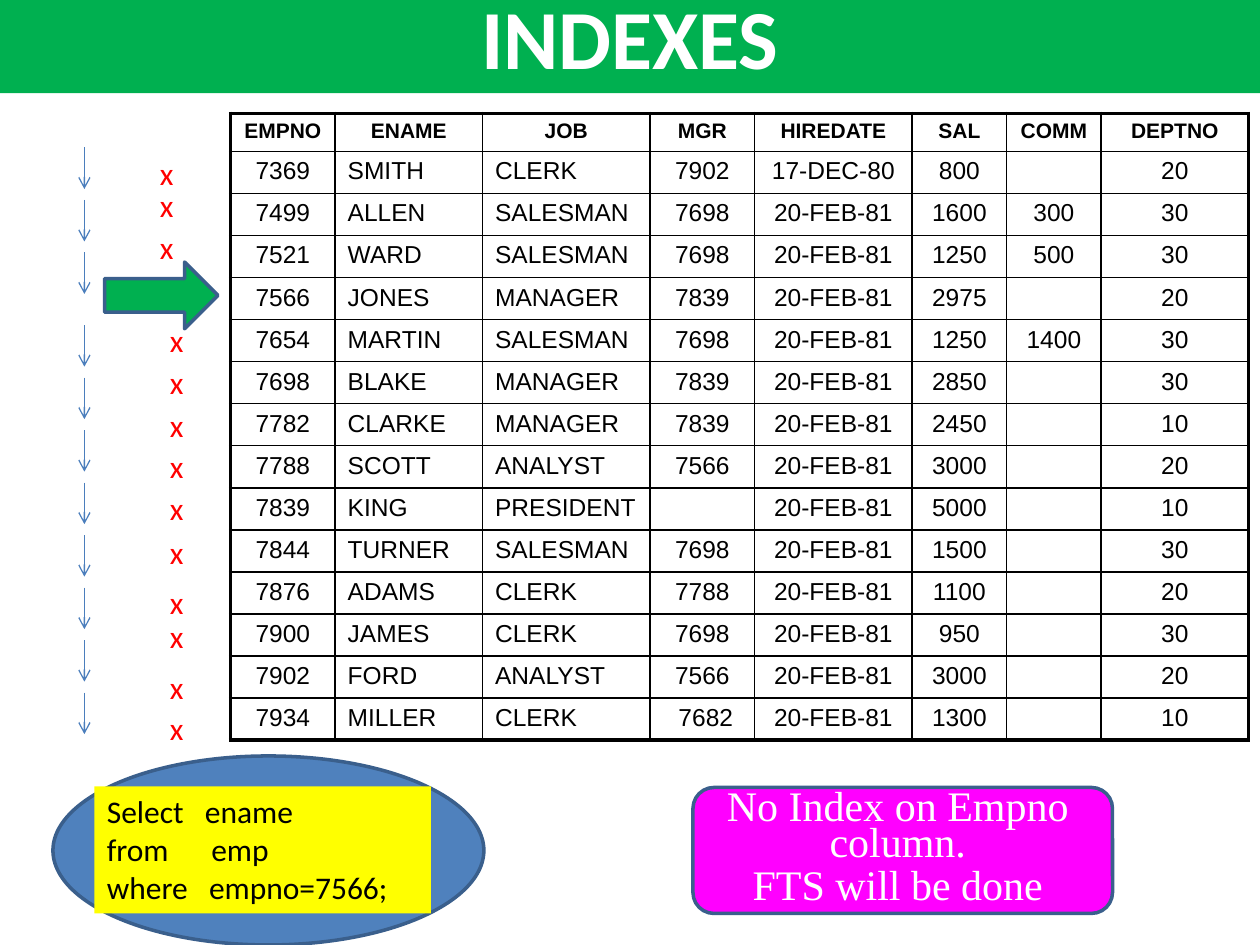
from lxml.etree import SubElement
from pptx import Presentation
from pptx.dml.color import RGBColor
from pptx.enum.shapes import MSO_CONNECTOR, MSO_SHAPE
from pptx.enum.text import MSO_ANCHOR, MSO_AUTO_SIZE, PP_ALIGN
from pptx.oxml.ns import qn
from pptx.util import Inches, Pt

GREEN, BLUE, OUTLINE, ARROW = "00B050", "4F81BD", "3A5F8C", "4B7EBC"
YELLOW, MAGENTA, RED, BLACK, WHITE = "FFFF00", "FF00FF", "FF0000", "000000", "FFFFFF"

COLUMN_WIDTHS = [0.83, 1.17, 1.33, 0.83, 1.25, 0.75, 0.75, 1.17]
HEADER_HEIGHT = 0.3
TABLE_HEIGHT = 4.97
LEFT_COLUMNS = (1, 2)
EMPLOYEES = [
    ["EMPNO", "ENAME", "JOB", "MGR", "HIREDATE", "SAL", "COMM", "DEPTNO"],
    ["7369", "SMITH", "CLERK", "7902", "17-DEC-80", "800", "", "20"],
    ["7499", "ALLEN", "SALESMAN", "7698", "20-FEB-81", "1600", "300", "30"],
    ["7521", "WARD", "SALESMAN", "7698", "20-FEB-81", "1250", "500", "30"],
    ["7566", "JONES", "MANAGER", "7839", "20-FEB-81", "2975", "", "20"],
    ["7654", "MARTIN", "SALESMAN", "7698", "20-FEB-81", "1250", "1400", "30"],
    ["7698", "BLAKE", "MANAGER", "7839", "20-FEB-81", "2850", "", "30"],
    ["7782", "CLARKE", "MANAGER", "7839", "20-FEB-81", "2450", "", "10"],
    ["7788", "SCOTT", "ANALYST", "7566", "20-FEB-81", "3000", "", "20"],
    ["7839", "KING", "PRESIDENT", "", "20-FEB-81", "5000", "", "10"],
    ["7844", "TURNER", "SALESMAN", "7698", "20-FEB-81", "1500", "", "30"],
    ["7876", "ADAMS", "CLERK", "7788", "20-FEB-81", "1100", "", "20"],
    ["7900", "JAMES", "CLERK", "7698", "20-FEB-81", "950", "", "30"],
    ["7902", "FORD", "ANALYST", "7566", "20-FEB-81", "3000", "", "20"],
    ["7934", "MILLER", "CLERK", " 7682", "20-FEB-81", "1300", "", "10"],
]
QUERY = ["Select   ename", "from      emp", "where   empno=7566;"]
SCAN_STEP = 5 / 12
SCAN_STARTS = [(1.17, 3), (2.58, 8)]
MISSES = {
    1.17: [1.17, 1.43, 1.76],
    1.25: [2.5, 2.83, 3.17, 3.5, 3.83, 4.18, 4.58, 4.85, 5.25, 5.58],
}


def color(value):
    return RGBColor.from_string(value)


class SlideBuilder:
    def __init__(self, slide, font="Calibri"):
        self.slide = slide
        self.font = font

    def style(self, paragraph, size, hex_color, bold=False, align=PP_ALIGN.LEFT, font=None):
        paragraph.alignment = align
        paragraph.font.name = font or self.font
        paragraph.font.size = Pt(size)
        paragraph.font.bold = bold
        paragraph.font.color.rgb = color(hex_color)

    def label(self, shape, lines, size, hex_color, **options):
        frame = shape.text_frame
        frame.text = "\n".join(lines)
        for paragraph in frame.paragraphs:
            self.style(paragraph, size, hex_color, **options)
        return frame

    def shape(self, kind, left, top, width, height, fill, line=None):
        shape = self.slide.shapes.add_shape(
            kind, Inches(left), Inches(top), Inches(width), Inches(height))
        shape.shadow.inherit = False
        shape.fill.solid()
        shape.fill.fore_color.rgb = color(fill)
        if line:
            shape.line.color.rgb = color(line)
            shape.line.width = Pt(2)
        else:
            shape.line.fill.background()
        return shape

    def text(self, left, top, width, height, lines, size, hex_color, wrap=True, **options):
        box = self.slide.shapes.add_textbox(
            Inches(left), Inches(top), Inches(width), Inches(height))
        frame = self.label(box, lines, size, hex_color, **options)
        frame.word_wrap = wrap
        return frame

    def down_arrow(self, left, top, length):
        connector = self.slide.shapes.add_connector(
            MSO_CONNECTOR.STRAIGHT, Inches(left), Inches(top), Inches(left), Inches(top + length))
        connector.line.color.rgb = color(ARROW)
        connector.line.width = Pt(0.75)
        properties = connector._element.spPr
        SubElement(properties.find(qn("a:ln")), qn("a:tailEnd"), type="arrow")
        SubElement(properties, qn("a:effectLst"))

    def border(self, cell, side, width):
        line = SubElement(cell._tc.get_or_add_tcPr(), qn(f"a:ln{side}"), w=str(Pt(width)))
        fill = SubElement(line, qn("a:solidFill"))
        SubElement(fill, qn("a:srgbClr"), val=BLACK)

    def table(self, left, top, rows, widths, heights):
        last_row, last_column = len(rows) - 1, len(widths) - 1
        table = self.slide.shapes.add_table(
            len(rows), len(widths), Inches(left), Inches(top),
            Inches(sum(widths)), Inches(sum(heights))).table
        table.first_row = table.horz_banding = False
        for column, width in zip(table.columns, widths):
            column.width = Inches(width)
        for r, (row, height) in enumerate(zip(rows, heights)):
            table.rows[r].height = Inches(height)
            for c, value in enumerate(row):
                cell = table.cell(r, c)
                outer = {"L": c == 0, "R": c == last_column, "T": r == 0, "B": r == last_row}
                for side, thick in outer.items():
                    self.border(cell, side, 2.25 if thick else 1)
                cell.fill.background()
                cell.text = value
                paragraph = cell.text_frame.paragraphs[0]
                header = r == 0
                align = PP_ALIGN.LEFT if c in LEFT_COLUMNS and not header else PP_ALIGN.CENTER
                self.style(paragraph, 12 if header else 14, BLACK, header, align, "Arial")
                if not value:
                    SubElement(paragraph._p, qn("a:endParaRPr"), sz="1400")


def main():
    presentation = Presentation()
    presentation.slide_width, presentation.slide_height = Inches(10), Inches(7.5)
    builder = SlideBuilder(presentation.slides.add_slide(presentation.slide_layouts[6]))

    title = builder.shape(MSO_SHAPE.RECTANGLE, 0, -0.17, 10, 0.91, GREEN)
    frame = builder.label(title, ["INDEXES"], 48, WHITE, bold=True, align=PP_ALIGN.CENTER)
    frame.vertical_anchor = MSO_ANCHOR.MIDDLE
    frame.auto_size = MSO_AUTO_SIZE.SHAPE_TO_FIT_TEXT

    body_rows = len(EMPLOYEES) - 1
    body_height = (TABLE_HEIGHT - HEADER_HEIGHT) / body_rows
    builder.table(1.83, 0.9, EMPLOYEES, COLUMN_WIDTHS,
                  [HEADER_HEIGHT] + [body_height] * body_rows)

    builder.shape(MSO_SHAPE.OVAL, 0.42, 6, 3.42, 1.5, BLUE, OUTLINE)
    query = builder.shape(MSO_SHAPE.RECTANGLE, 0.75, 6.24, 2.67, 1.01, YELLOW)
    frame = builder.label(query, QUERY, 18, BLACK)
    frame.vertical_anchor = MSO_ANCHOR.TOP
    frame.auto_size = MSO_AUTO_SIZE.SHAPE_TO_FIT_TEXT

    for start, count in SCAN_STARTS:
        for index in range(count):
            builder.down_arrow(0.67, start + index * SCAN_STEP, 0.33)
    for left, tops in MISSES.items():
        for top in tops:
            builder.text(left, top, 0.31, 0.4, ["x"], 18, RED, wrap=False)
    builder.shape(MSO_SHAPE.RIGHT_ARROW, 0.83, 2.08, 0.9, 0.53, GREEN, OUTLINE)

    builder.shape(MSO_SHAPE.ROUNDED_RECTANGLE, 5.5, 6.25, 3.33, 1, MAGENTA, OUTLINE)
    frame = builder.text(
        5.5, 6.25, 3.25, 1.1, ["No Index on Empno column.", "FTS will be done"], 24, WHITE,
        align=PP_ALIGN.CENTER, font="Times New Roman")
    for paragraph in frame.paragraphs:
        paragraph.line_spacing = 0.7
    frame.paragraphs[1].space_before = Pt(4.8)

    presentation.save("out.pptx")


if __name__ == "__main__":
    main()
